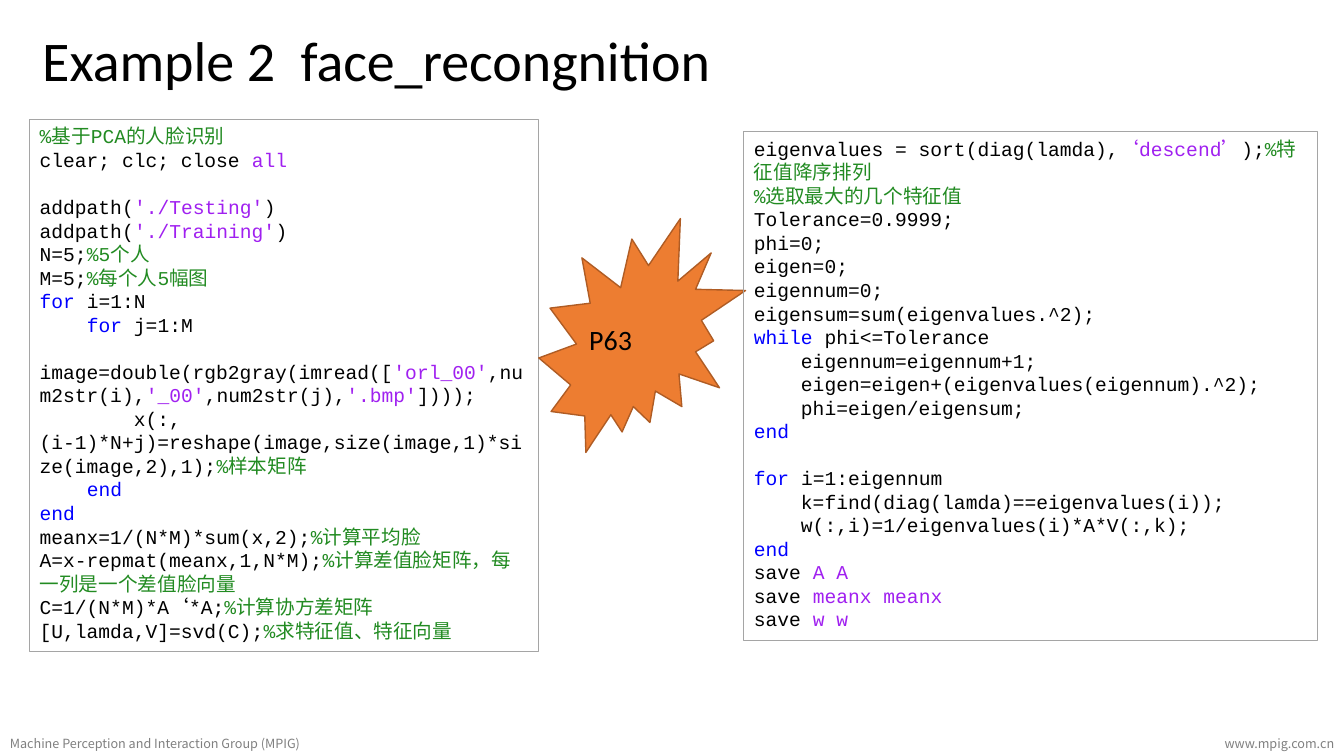
from pptx import Presentation
from pptx import util as u
from pptx.dml.color import RGBColor
from pptx.enum import shapes, text

BLACK = RGBColor(0x00, 0x00, 0x00)
GREY = RGBColor(0x80, 0x80, 0x80)
BORDER = RGBColor(0xA5, 0xA5, 0xA5)
ORANGE = RGBColor(0xED, 0x7D, 0x31)
DARK_ORANGE = RGBColor(0xAF, 0x5C, 0x24)
COMMENT = RGBColor(0x22, 0x8B, 0x22)
STRING = RGBColor(0xA0, 0x20, 0xF0)
KEYWORD = RGBColor(0x00, 0x00, 0xFF)

CODE_SIZE = u.Pt(14)
BLANK_LINE = u.Pt(16.8)

# Each block is a list of lines; each line is a list of plain strings
# and (string, colour) pairs.
TRAINING_CODE = [
    [
        [("%基于PCA的人脸识别", COMMENT)],
        ["clear; clc; close ", ("all", STRING)],
    ],
    [
        ["addpath(", ("'./Testing'", STRING), ")"],
        ["addpath(", ("'./Training'", STRING), ")"],
        ["N=5;", ("%5个人", COMMENT)],
        ["M=5;", ("%每个人5幅图", COMMENT)],
        [("for ", KEYWORD), "i=1:N"],
        ["    ", ("for", KEYWORD), " j=1:M"],
        ["        image=double(rgb2gray(imread([", ("'orl_00'", STRING), ",num2str(i),",
         ("'_00'", STRING), ",num2str(j),", ("'.bmp'", STRING), "])));"],
        ["        x(:,(i-1)*N+j)=reshape(image,size(image,1)*size(image,2),1);",
         ("%样本矩阵", COMMENT)],
        ["    ", ("end", KEYWORD)],
        [("end", KEYWORD)],
        ["meanx=1/(N*M)*sum(x,2);", ("%计算平均脸", COMMENT)],
        ["A=x-repmat(meanx,1,N*M);", ("%计算差值脸矩阵，每一列是一个差值脸向量", COMMENT)],
        ["C=1/(N*M)*A‘*A;", ("%计算协方差矩阵", COMMENT)],
        ["[U,lamda,V]=svd(C);", ("%求特征值、特征向量", COMMENT)],
    ],
]
EIGEN_CODE = [
    [
        ["eigenvalues = sort(diag(lamda),", ("‘descend’", STRING), ");",
         ("%特征值降序排列", COMMENT)],
        [("%选取最大的几个特征值", COMMENT)],
        ["Tolerance=0.9999;"],
        ["phi=0;"],
        ["eigen=0;"],
        ["eigennum=0;"],
        ["eigensum=sum(eigenvalues.^2);"],
        [("while", KEYWORD), " phi<=Tolerance"],
        ["    eigennum=eigennum+1;"],
        ["    eigen=eigen+(eigenvalues(eigennum).^2);"],
        ["    phi=eigen/eigensum;"],
        [("end", KEYWORD)],
    ],
    [
        [("for ", KEYWORD), "i=1:eigennum"],
        ["    k=find(diag(lamda)==eigenvalues(i));"],
        ["    w(:,i)=1/eigenvalues(i)*A*V(:,k);"],
        [("end", KEYWORD)],
        *[["save ", (names, STRING)] for names in ("A A", "meanx meanx", "w w")],
    ],
]


def write_line(shape, words, font_name, size, colour, align=text.PP_ALIGN.LEFT):
    shape.text_frame.word_wrap = True
    shape.text_frame.vertical_anchor = text.MSO_ANCHOR.MIDDLE
    paragraph = shape.text_frame.paragraphs[0]
    paragraph.text = words
    paragraph.alignment = align
    paragraph.font.name = font_name
    paragraph.font.size = u.Pt(size)
    paragraph.font.color.rgb = colour


def add_title(slide, left, top, width, height):
    title = slide.shapes.title
    title.left, title.top, title.width, title.height = left, top, width, height
    write_line(title, "Example 2  face_recongnition", "Calibri", 40, BLACK)


def add_code_box(slide, blocks, left, top, width, height):
    """Draw a bordered listing, with a gap of one line between blocks."""
    box = slide.shapes.add_shape(shapes.MSO_SHAPE.RECTANGLE, left, top, width, height)
    box.shadow.inherit = False
    box.fill.background()
    box.line.color.rgb = BORDER
    box.line.width = u.Pt(0.75)
    frame = box.text_frame
    frame.word_wrap = True
    frame.vertical_anchor = text.MSO_ANCHOR.TOP
    paragraph = None
    for block_number, block in enumerate(blocks):
        for line_number, line in enumerate(block):
            paragraph = frame.add_paragraph() if paragraph else frame.paragraphs[0]
            paragraph.alignment = text.PP_ALIGN.LEFT
            if block_number and not line_number:
                paragraph.space_before = BLANK_LINE
            paragraph.font.name = "Courier New"
            paragraph.font.size = CODE_SIZE
            paragraph.font.color.rgb = BLACK
            for part in line:
                words, colour = (part, BLACK) if isinstance(part, str) else part
                run = paragraph.add_run()
                run.text = words
                run.font.color.rgb = colour


def add_page_star(slide, left, top, width, height):
    star = slide.shapes.add_shape(shapes.MSO_SHAPE.EXPLOSION2, left, top, width, height)
    star.shadow.inherit = False
    star.fill.solid()
    star.fill.fore_color.rgb = ORANGE
    star.line.color.rgb = DARK_ORANGE
    star.line.width = u.Pt(1)
    label = slide.shapes.add_textbox(left + u.Cm(1.02), top + u.Cm(2.49), u.Cm(3.15), u.Cm(1.12))
    write_line(label, "P63", "Calibri", 20, BLACK)


def add_footer(slide, left, top, width, height):
    group_width, site_width = u.Cm(14.45), u.Cm(9.73)
    group = slide.shapes.add_textbox(left, top, group_width, height)
    write_line(group, "Machine Perception and Interaction Group (MPIG)",
               "Noto Sans CJK TC", 9, GREY)
    site = slide.shapes.add_textbox(left + width - site_width, top, site_width, height)
    write_line(site, "www.mpig.com.cn", "Noto Sans CJK TC", 9, GREY, text.PP_ALIGN.RIGHT)


def main():
    presentation = Presentation()
    presentation.slide_width = u.Cm(33.87)
    presentation.slide_height = u.Cm(19.05)
    slide = presentation.slides.add_slide(presentation.slide_layouts[5])
    add_footer(slide, u.Cm(0), u.Cm(18.42), presentation.slide_width, u.Cm(0.63))
    add_title(slide, u.Cm(0.81), u.Cm(0.51), u.Cm(19.18), u.Cm(1.96))
    add_code_box(slide, TRAINING_CODE, u.Cm(0.75), u.Cm(3.01), u.Cm(12.83), u.Cm(13.41))
    add_page_star(slide, u.Cm(13.58), u.Cm(5.51), u.Cm(5.21), u.Cm(5.89))
    add_code_box(slide, EIGEN_CODE, u.Cm(18.75), u.Cm(3.32), u.Cm(14.45), u.Cm(12.83))
    presentation.save("out.pptx")


if __name__ == "__main__":
    main()
